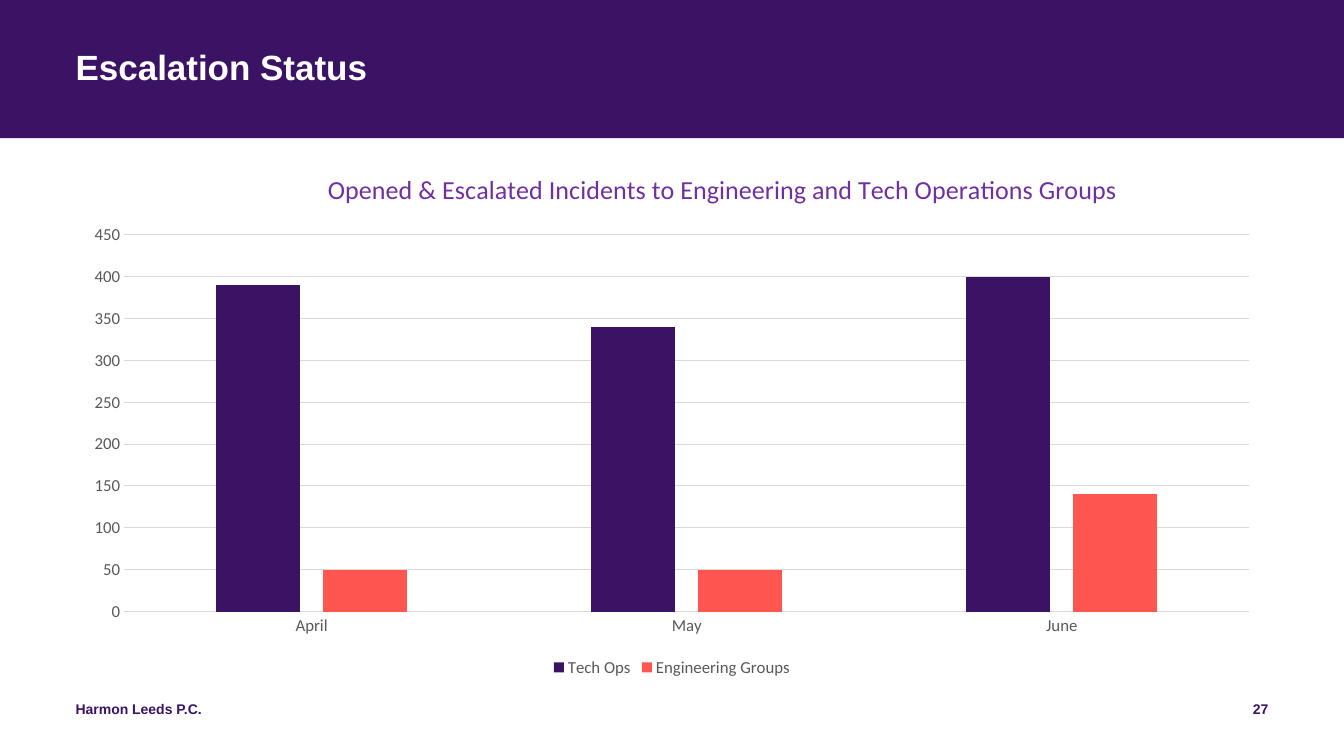
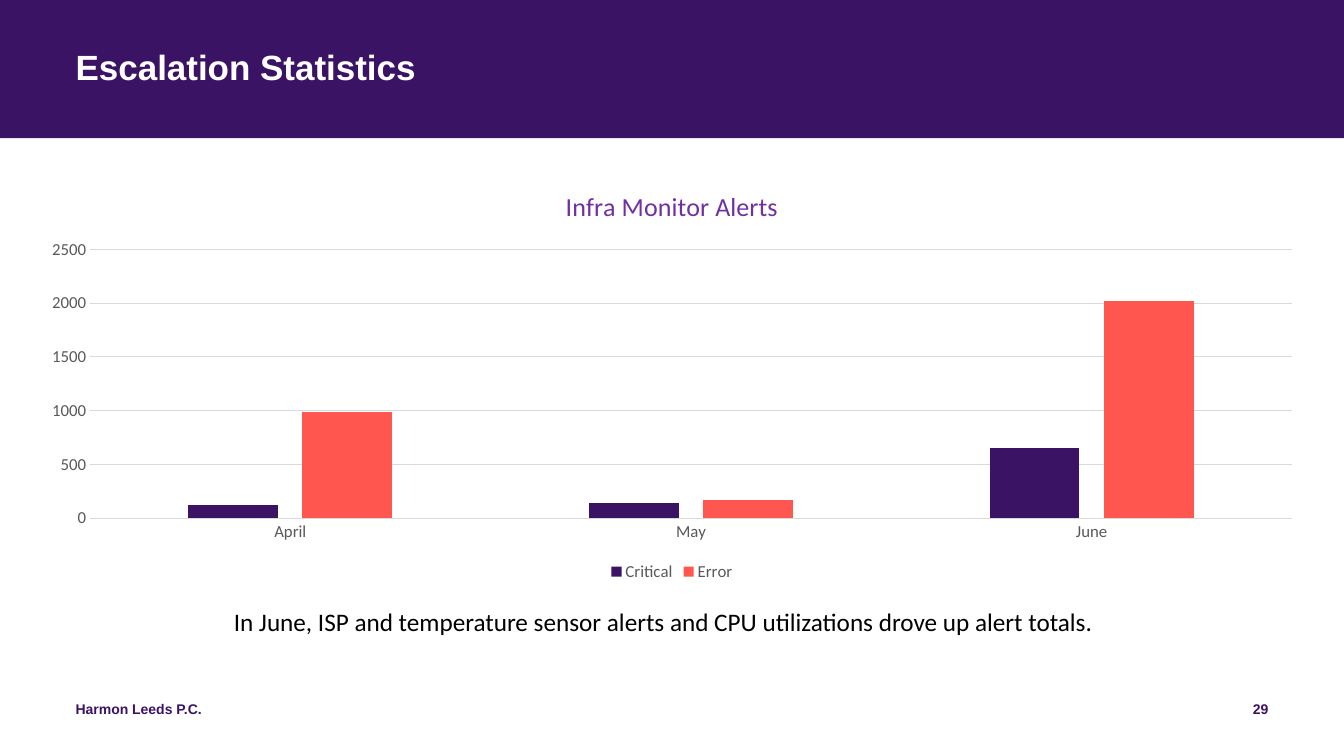
from lxml.etree import SubElement
from pptx import Presentation
from pptx.chart.data import CategoryChartData
from pptx.dml.color import RGBColor
from pptx.enum.chart import XL_CHART_TYPE, XL_LEGEND_POSITION, XL_TICK_MARK
from pptx.enum.shapes import MSO_SHAPE
from pptx.enum.text import MSO_ANCHOR, MSO_AUTO_SIZE, PP_ALIGN
from pptx.oxml.ns import qn
from pptx.util import Inches, Pt

COLORS = {
    "purple": "3B1365",
    "coral": "FF5750",
    "violet": "7030A0",
    "gray": "595959",
    "grid": "D9D9D9",
    "white": "FFFFFF",
    "black": "000000",
}
MONTHS = ["April", "May", "June"]
FIRM = "Harmon Leeds P.C."


def color(name):
    return RGBColor.from_string(COLORS[name])


def style_font(font, name, size, color_name, bold=False):
    font.name = name
    font.size = Pt(size)
    font.bold = bold
    font.color.rgb = color(color_name)


def style_line(line, color_name):
    line.color.rgb = color(color_name)
    line.width = Pt(0.75)


def clear_margins(frame):
    frame.margin_left = frame.margin_right = 0
    frame.margin_top = frame.margin_bottom = 0


def place(shape, box):
    shape.left, shape.top, shape.width, shape.height = map(Inches, box)


def add_run(paragraph, text, name, size, color_name, bold=False):
    run = paragraph.add_run()
    run.text = text
    style_font(run.font, name, size, color_name, bold)


def add_band(slide, layout):
    band = slide.shapes.add_shape(
        MSO_SHAPE.RECTANGLE, 0, 0, Inches(13.33), Inches(1.37))
    band.shadow.inherit = False
    band.fill.solid()
    band.fill.fore_color.rgb = color("purple")
    band.line.fill.background()
    layout.shapes.element.insert(2, band.element)


def add_title(slide, text):
    title = slide.shapes.title
    place(title, (0.75, 0.5, 11.83, 0.81))
    frame = title.text_frame
    clear_margins(frame)
    frame.vertical_anchor = MSO_ANCHOR.TOP
    frame.word_wrap = True
    paragraph = frame.paragraphs[0]
    paragraph.alignment = PP_ALIGN.LEFT
    paragraph.line_spacing = 0.9
    add_run(paragraph, text, "Arial", 25, "white", True)


def add_footer_text(slide, text, left, width, alignment):
    shape = slide.shapes.add_textbox(
        Inches(left), Inches(6.95), Inches(width), Inches(0.4))
    frame = shape.text_frame
    clear_margins(frame)
    frame.word_wrap = True
    paragraph = frame.paragraphs[0]
    paragraph.alignment = alignment
    add_run(paragraph, text, "Arial", 10, "purple", True)


def add_content_slide(presentation, layout, title, number):
    slide = presentation.slides.add_slide(layout)
    add_title(slide, title)
    add_footer_text(slide, FIRM, 0.75, 4.5, PP_ALIGN.LEFT)
    add_footer_text(slide, str(number), 9.58, 3, PP_ALIGN.RIGHT)
    return slide


def style_axis(axis):
    axis.major_tick_mark = axis.minor_tick_mark = XL_TICK_MARK.NONE
    style_font(axis.tick_labels.font, "Calibri", 12, "gray")


def add_column_chart(slide, box, title, series_values, maximum, step):
    data = CategoryChartData()
    data.categories = MONTHS
    for name, values in series_values.items():
        data.add_series(name, values)
    chart = slide.shapes.add_chart(
        XL_CHART_TYPE.COLUMN_CLUSTERED, *map(Inches, box), data).chart
    style_font(chart.font, "Calibri", 10, "black")

    chart.has_title = True
    paragraph = chart.chart_title.text_frame.paragraphs[0]
    add_run(paragraph, title, "Calibri", 18.6, "violet")

    chart.has_legend = True
    chart.legend.position = XL_LEGEND_POSITION.BOTTOM
    chart.legend.include_in_layout = False
    style_font(chart.legend.font, "Calibri", 12, "gray")

    style_axis(chart.category_axis)
    style_line(chart.category_axis.format.line, "grid")
    value_axis = chart.value_axis
    style_axis(value_axis)
    value_axis.format.line.fill.background()
    value_axis.has_major_gridlines = True
    style_line(value_axis.major_gridlines.format.line, "grid")
    value_axis.minimum_scale = 0
    value_axis.maximum_scale = maximum
    value_axis.major_unit = step

    plot = chart.plots[0]
    plot.vary_by_categories = False
    plot.gap_width = 219
    plot.overlap = -27
    for series, color_name in zip(plot.series, ("purple", "coral")):
        series.format.fill.solid()
        series.format.fill.fore_color.rgb = color(color_name)
    return chart


def move_chart_title(chart, left, top):
    layout = chart.chart_title.element.find(qn("c:layout"))
    manual = SubElement(layout, qn("c:manualLayout"))
    settings = {"xMode": "edge", "yMode": "edge", "x": left, "y": top}
    for tag, value in settings.items():
        SubElement(manual, qn(f"c:{tag}")).set("val", str(value))


def add_caption(slide, text):
    shape = slide.shapes.add_textbox(
        Inches(2.22), Inches(5.97), Inches(8.88), Inches(0.4))
    frame = shape.text_frame
    frame.word_wrap = False
    frame.auto_size = MSO_AUTO_SIZE.SHAPE_TO_FIT_TEXT
    add_run(frame.paragraphs[0], text, "Calibri", 18, "black")


def main():
    presentation = Presentation()
    presentation.slide_width = Inches(13.33)
    presentation.slide_height = Inches(7.5)
    layout = presentation.slide_layouts.get_by_name("Title Only")

    status = add_content_slide(presentation, layout, "Escalation Status", 27)
    add_band(status, layout)
    chart = add_column_chart(
        status, (0.7, 1.49, 11.93, 5.27),
        "Opened & Escalated Incidents to Engineering and Tech Operations Groups",
        {"Tech Ops": (390, 340, 400), "Engineering Groups": (50, 50, 140)},
        450, 50)
    move_chart_title(chart, 0.21, 0.03)

    statistics = add_content_slide(
        presentation, layout, "Escalation Statistics", 29)
    add_column_chart(
        statistics, (0.26, 1.68, 12.81, 4.13), "Infra Monitor Alerts",
        {"Critical": (120, 140, 650), "Error": (990, 170, 2020)},
        2500, 500)
    add_caption(
        statistics,
        "In June, ISP and temperature sensor alerts and CPU utilizations "
        "drove up alert totals.")

    presentation.save("out.pptx")


if __name__ == "__main__":
    main()
